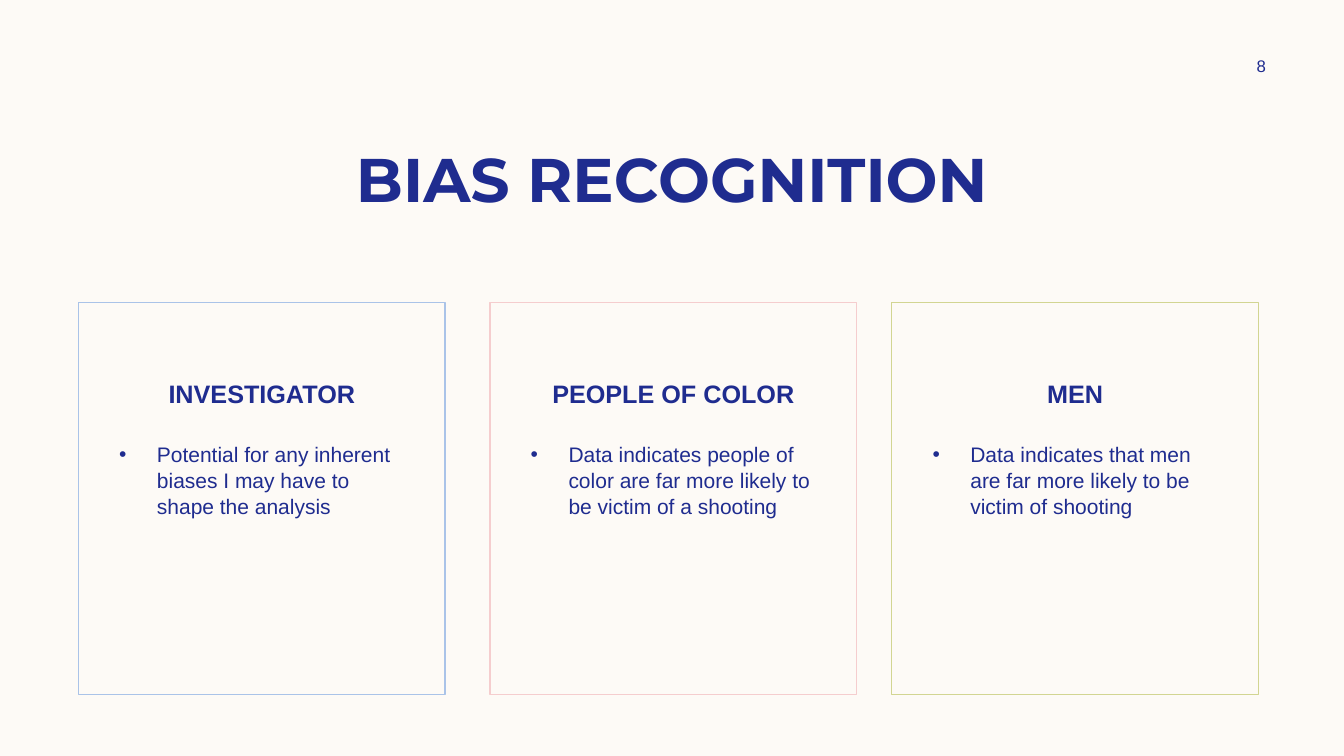
from dataclasses import dataclass

from lxml.etree import SubElement
from pptx import Presentation
from pptx.dml.color import RGBColor
from pptx.enum.shapes import MSO_SHAPE
from pptx.enum.text import MSO_ANCHOR, PP_ALIGN
from pptx.oxml.ns import qn
from pptx.shapes.base import BaseShape
from pptx.slide import Slide
from pptx.text.text import _Paragraph as Para
from pptx.util import Pt

CREAM = RGBColor(0xFD, 0xFA, 0xF6)
NAVY = RGBColor(0x1F, 0x2C, 0x8F)
BLUE = RGBColor(0xAA, 0xC3, 0xE8)
PINK = RGBColor(0xF5, 0xCD, 0xCE)
GREEN = RGBColor(0xD2, 0xD5, 0x92)

CARD_TOP, CARD_WIDTH, CARD_HEIGHT = 216, 262, 280
BODY_INSET, BODY_TOP, BODY_HEIGHT = 22, 311, 174
INDENT = 27


@dataclass
class Card:
    left: float
    color: RGBColor
    head: str
    body: str


CARDS = [
    Card(56, BLUE, "INVESTIGATOR",
         "Potential for any inherent biases I may have to shape the analysis"),
    Card(350, PINK, "PEOPLE OF COLOR",
         "Data indicates people of color are far more likely to be victim of a shooting"),
    Card(637, GREEN, "MEN",
         "Data indicates that men are far more likely to be victim of shooting"),
]


def write(shape: BaseShape, text: str, size: float, face: str = "Arial",
          bold: bool = False, align: PP_ALIGN = PP_ALIGN.CENTER) -> Para:
    frame = shape.text_frame
    frame.word_wrap = True
    frame.text = text
    para = frame.paragraphs[0]
    para.alignment = align
    font = para.runs[0].font
    font.name, font.size, font.bold = face, Pt(size), bold
    font.color.rgb = NAVY
    return para


def add_box(slide: Slide, left: float, top: float, width: float,
            height: float) -> BaseShape:
    return slide.shapes.add_textbox(Pt(left), Pt(top), Pt(width), Pt(height))


def add_bullet(para: Para) -> None:
    props = para._p.get_or_add_pPr()
    props.set("marL", str(Pt(INDENT)))
    props.set("indent", str(-Pt(INDENT)))
    SubElement(props, qn("a:buFont")).set("typeface", "Arial")
    SubElement(props, qn("a:buChar")).set("char", "•")


def draw_card(slide: Slide, card: Card) -> None:
    # Outlined frame with its heading
    frame = slide.shapes.add_shape(
        MSO_SHAPE.RECTANGLE, Pt(card.left), Pt(CARD_TOP),
        Pt(CARD_WIDTH), Pt(CARD_HEIGHT))
    frame.shadow.inherit = False
    frame.fill.background()
    frame.line.color.rgb = card.color
    frame.line.width = Pt(1)
    frame.text_frame.margin_top = Pt(54)
    frame.text_frame.vertical_anchor = MSO_ANCHOR.TOP
    write(frame, card.head, 18, bold=True)

    # Bulleted finding
    body = add_box(slide, card.left + BODY_INSET, BODY_TOP,
                   CARD_WIDTH - 2 * BODY_INSET, BODY_HEIGHT)
    para = write(body, card.body, 15, align=PP_ALIGN.LEFT)
    add_bullet(para)
    para.line_spacing = 1.04


def main() -> None:
    deck = Presentation()
    deck.slide_width, deck.slide_height = Pt(960), Pt(540)
    slide = deck.slides.add_slide(deck.slide_layouts[6])
    fill = slide.background.fill
    fill.solid()
    fill.fore_color.rgb = CREAM

    # Title and page number
    title = add_box(slide, 60, 97, 840, 60.5)
    write(title, "BIAS RECOGNITION", 44, "Montserrat", bold=True)
    page = add_box(slide, 862, 36, 78, 22)
    page.text_frame.vertical_anchor = MSO_ANCHOR.MIDDLE
    write(page, "8", 12)

    # Cards
    for card in CARDS:
        draw_card(slide, card)

    deck.save("out.pptx")


if __name__ == "__main__":
    main()
